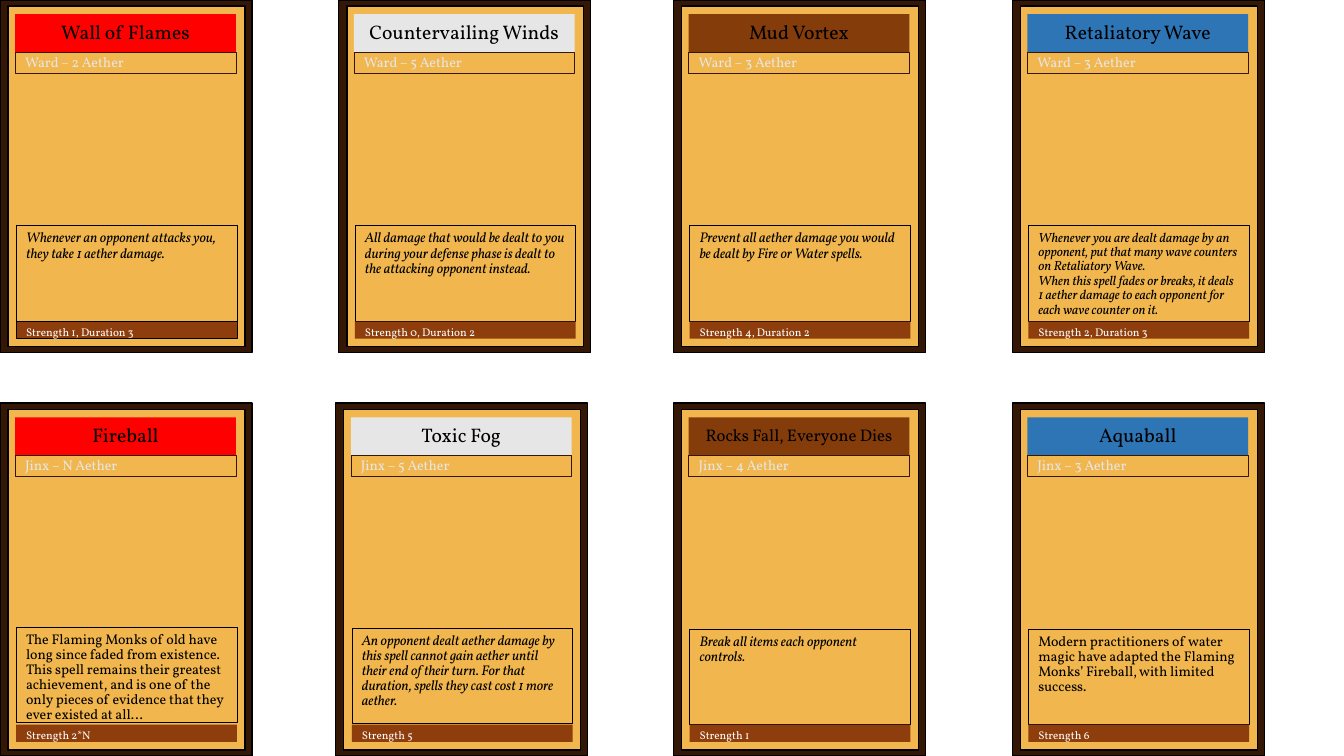
"""Build a sheet of eight spell cards on a grid of four columns and two rows."""
from dataclasses import dataclass
from typing import Optional

from pptx import Presentation
from pptx import util as u
from pptx.dml.color import RGBColor
from pptx.enum import shapes, text

WIDE, HIGH = 13.33, 7.5
COLS = (0, 3.36, 6.68, 10.04)
ROWS = (0, 4)
FONT = "Vollkorn"

BLACK = RGBColor(0x00, 0x00, 0x00)
WHITE = RGBColor(0xFF, 0xFF, 0xFF)
BARK = RGBColor(0x35, 0x17, 0x05)
SAND = RGBColor(0xF1, 0xB6, 0x4D)
RUST = RGBColor(0x8E, 0x3E, 0x0C)
FIRE = RGBColor(0xFF, 0x00, 0x00)
AIR = RGBColor(0xE7, 0xE6, 0xE6)
EARTH = RGBColor(0x84, 0x3C, 0x0B)
WATER = RGBColor(0x2E, 0x75, 0xB6)


@dataclass(frozen=True)
class Box:
    """A rectangle measured in inches from the corner of its card."""
    left: float
    top: float
    width: float
    height: float


@dataclass(frozen=True)
class Style:
    """The look of the text in one part of a card."""
    size: float
    color: RGBColor
    before: float = 10
    middle: bool = False
    center: bool = False
    italic: bool = False


@dataclass(frozen=True)
class Card:
    """One spell, its place on the grid and its wording."""
    col: int
    row: int
    hue: RGBColor
    name: str
    kind: str
    rules: str
    stats: str
    size: float = 14
    small: float = 10
    italic: bool = True
    edge: Optional[RGBColor] = None
    shift: float = 0
    lift: float = 0


FRAME = Box(0, 0, 2.5, 3.5)
FIELD = Box(0.08, 0.06, 2.35, 3.38)
NAME = Box(0.15, 0.14, 2.19, 0.38)
KIND = Box(0.15, 0.52, 2.19, 0.21)
STATS = Box(0.16, 3.19, 2.19, 0.17)

CARDS = (
    Card(0, 0, FIRE, "Wall of Flames", "Ward – 2 Aether",
         "Whenever an opponent attacks you, they take 1 aether damage.",
         "Strength 1, Duration 3", edge=BLACK),
    Card(1, 0, AIR, "Countervailing Winds", "Ward – 5 Aether",
         "All damage that would be dealt to you during your defense phase "
         "is dealt to the attacking opponent instead.",
         "Strength 0, Duration 2"),
    Card(2, 0, EARTH, "Mud Vortex", "Ward – 3 Aether",
         "Prevent all aether damage you would be dealt by Fire or Water spells.",
         "Strength 4, Duration 2"),
    Card(3, 0, WATER, "Retaliatory Wave", "Ward – 3 Aether",
         "Whenever you are dealt damage by an opponent, put that many wave "
         "counters on Retaliatory Wave.\n"
         "When this spell fades or breaks, it deals 1 aether damage to each "
         "opponent for each wave counter on it.",
         "Strength 2, Duration 3", small=9.5),
    Card(0, 1, FIRE, "Fireball", "Jinx – N Aether",
         "The Flaming Monks of old have long since faded from existence. "
         "This spell remains their greatest achievement, and is one of the "
         "only pieces of evidence that they ever existed at all…",
         "Strength 2*N", italic=False, lift=0.02),
    Card(1, 1, AIR, "Toxic Fog", "Jinx – 5 Aether",
         "An opponent dealt aether damage by this spell cannot gain aether "
         "until their end of their turn. For that duration, spells they cast "
         "cost 1 more aether.",
         "Strength 5", shift=-0.03, lift=0.01),
    Card(2, 1, EARTH, "Rocks Fall, Everyone Dies", "Jinx – 4 Aether",
         "Break all items each opponent controls.", "Strength 1", size=12),
    Card(3, 1, WATER, "Aquaball", "Jinx – 3 Aether",
         "Modern practitioners of water magic have adapted the Flaming Monks’ "
         "Fireball, with limited success.",
         "Strength 6", italic=False),
)


def draw(slide, card: Card, box: Box, fill: Optional[RGBColor],
         line: Optional[RGBColor], weight: float = 0.5):
    """Draw one rectangle of a card and return it."""
    left = COLS[card.col] + card.shift + box.left
    top = ROWS[card.row] + box.top
    rect = slide.shapes.add_shape(
        shapes.MSO_SHAPE.RECTANGLE, u.Inches(left), u.Inches(top),
        u.Inches(box.width), u.Inches(box.height))
    rect.shadow.inherit = False
    if fill is None:
        rect.fill.background()
    else:
        rect.fill.solid()
        rect.fill.fore_color.rgb = fill
    if line is None:
        rect.line.fill.background()
    else:
        rect.line.color.rgb = line
        rect.line.width = u.Pt(weight)
    return rect


def write(rect, words: str, style: Style) -> None:
    """Put words into a rectangle and format them."""
    frame = rect.text_frame
    frame.text = words
    frame.word_wrap = True
    anchor = text.MSO_ANCHOR
    frame.vertical_anchor = anchor.MIDDLE if style.middle else anchor.TOP
    align = text.PP_ALIGN
    for para in frame.paragraphs:
        para.alignment = align.CENTER if style.center else align.LEFT
        para.line_spacing = 0.9
        para.space_before = u.Pt(style.before)
        for run in para.runs:
            run.font.name = FONT
            run.font.size = u.Pt(style.size)
            run.font.italic = style.italic
            run.font.color.rgb = style.color


def deal(slide, card: Card) -> None:
    """Draw a whole card with its frame and four text parts."""
    draw(slide, card, FRAME, BARK, BLACK, 1)
    draw(slide, card, FIELD, SAND, BLACK, 1)
    rules = Box(0.16, 2.24 - card.lift, 2.19, 0.95)
    write(draw(slide, card, NAME, card.hue, None), card.name,
          Style(card.size, BLACK, middle=True, center=True))
    write(draw(slide, card, KIND, None, BARK), card.kind,
          Style(10, AIR, middle=True))
    write(draw(slide, card, rules, SAND, BLACK), card.rules,
          Style(card.small, BLACK, before=0, italic=card.italic))
    write(draw(slide, card, STATS, RUST, card.edge), card.stats,
          Style(8, WHITE))


def main() -> None:
    """Build the sheet and save it."""
    deck = Presentation()
    deck.slide_width, deck.slide_height = u.Inches(WIDE), u.Inches(HIGH)
    slide = deck.slides.add_slide(deck.slide_layouts[6])
    for card in CARDS:
        deal(slide, card)
    deck.save("out.pptx")


if __name__ == "__main__":
    main()
